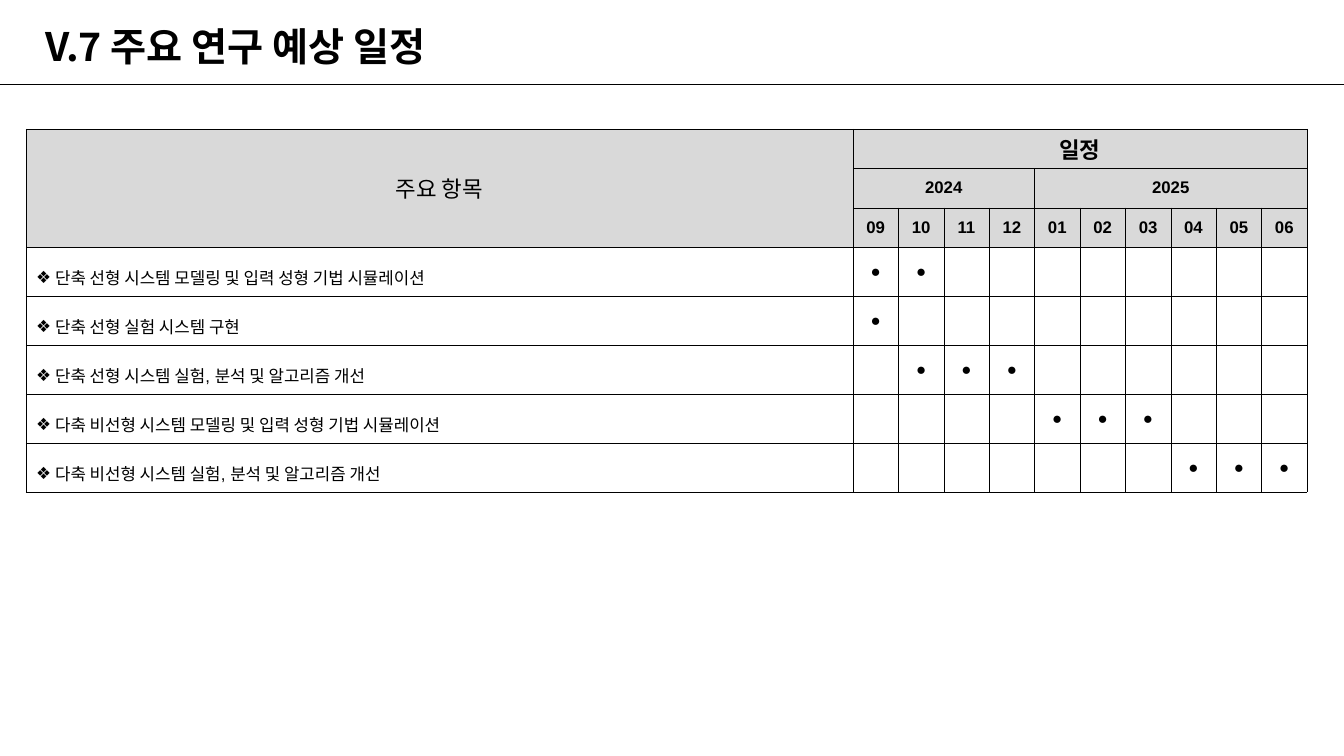
from dataclasses import dataclass

from lxml import etree
from pptx import Presentation
from pptx.dml.color import RGBColor
from pptx.enum.shapes import MSO_CONNECTOR
from pptx.enum.text import MSO_ANCHOR, MSO_AUTO_SIZE, PP_ALIGN
from pptx.oxml.ns import qn
from pptx.util import Emu, Pt

STRAIGHT = MSO_CONNECTOR.STRAIGHT
MIDDLE = MSO_ANCHOR.MIDDLE
NO_AUTOFIT = MSO_AUTO_SIZE.NONE
LEFT, CENTER = PP_ALIGN.LEFT, PP_ALIGN.CENTER
PAGE_WIDTH, PAGE_HEIGHT = 1344, 756
EMU_PER_PX = 12192000 / PAGE_WIDTH
TITLE_ONLY = 5


@dataclass(frozen=True)
class Theme:
    """Colours, fonts and type sizes of the slide."""

    ink: str = "000000"
    paper: str = "FFFFFF"
    header: str = "D9D9D9"
    latin: str = "Arial"
    korean: str = "Noto Sans CJK KR"
    title_size: int = 28
    heading_size: int = 16
    text_size: int = 12
    line_width: float = 0.25


THEME = Theme()
TITLE = "V.7 주요 연구 예상 일정"
YEARS = {"2024": ["09", "10", "11", "12"],
         "2025": ["01", "02", "03", "04", "05", "06"]}
TASKS = [
    ("단축 선형 시스템 모델링 및 입력 성형 기법 시뮬레이션", 0, 2),
    ("단축 선형 실험 시스템 구현", 0, 1),
    ("단축 선형 시스템 실험, 분석 및 알고리즘 개선", 1, 3),
    ("다축 비선형 시스템 모델링 및 입력 성형 기법 시뮬레이션", 4, 3),
    ("다축 비선형 시스템 실험, 분석 및 알고리즘 개선", 7, 3),
]


def px(length):
    """Turn a length in pixels into EMU."""
    return Emu(round(length * EMU_PER_PX))


def style_span(span, size, bold, latin, korean):
    """Format one run."""
    span.font.size = Pt(size)
    span.font.bold = bold
    span.font.name = latin
    span.font.color.rgb = RGBColor.from_string(THEME.ink)
    east_asian = etree.Element(qn("a:ea"), typeface=korean)
    span.font._element.find(qn("a:latin")).addnext(east_asian)


def draw_borders(cell):
    """Rule all four sides of a cell."""
    properties = cell._tc.get_or_add_tcPr()
    for position, side in enumerate(("a:lnL", "a:lnR", "a:lnT", "a:lnB")):
        border = etree.Element(qn(side), w=str(Pt(THEME.line_width)))
        fill = etree.SubElement(border, qn("a:solidFill"))
        etree.SubElement(fill, qn("a:srgbClr"), val=THEME.ink)
        properties.insert(position, border)


def fill_cell(cell, text, size=THEME.text_size, bold=False, align=CENTER,
              korean=THEME.korean):
    """Write and format the text of a cell."""
    cell.text_frame.text = text
    para = cell.text_frame.paragraphs[0]
    para.alignment = align
    for span in para.runs:
        style_span(span, size, bold, THEME.latin, korean)
    return para


def add_bullet(para):
    """Give a paragraph a diamond bullet with a hanging indent."""
    para.line_spacing = 1.5
    properties = para._p.get_or_add_pPr()
    properties.set("marL", str(px(19)))
    properties.set("indent", str(px(-19)))
    etree.SubElement(properties, qn("a:buFont"), typeface=THEME.latin)
    etree.SubElement(properties, qn("a:buChar"), char="❖")


def add_title(page, left, top, width, height):
    """Place the heading and the rule beneath it."""
    box = page.shapes.title
    box.left, box.top, box.width, box.height = map(px, (left, top, width, height))
    frame = box.text_frame
    frame.text = TITLE
    frame.auto_size = NO_AUTOFIT
    frame.vertical_anchor = MIDDLE
    para = frame.paragraphs[0]
    para.alignment = LEFT
    para.line_spacing = 1.0
    style_span(para.runs[0], THEME.title_size, True, THEME.korean, THEME.korean)

    rule_top = px(top + height + 10)
    rule = page.shapes.add_connector(STRAIGHT, 0, rule_top, px(PAGE_WIDTH), rule_top)
    rule.line.color.rgb = RGBColor.from_string(THEME.ink)
    rule.line.width = Pt(THEME.line_width)
    etree.SubElement(rule._element.spPr, qn("a:effectLst"))


def fill_header(table):
    """Merge and label the three header rows."""
    last = len(table.columns) - 1
    table.cell(0, 0).merge(table.cell(2, 0))
    table.cell(0, 1).merge(table.cell(0, last))
    fill_cell(table.cell(0, 0), "주요 항목", THEME.heading_size)
    fill_cell(table.cell(0, 1), "일정", THEME.heading_size, True)
    column = 1
    for year, months in YEARS.items():
        table.cell(1, column).merge(table.cell(1, column + len(months) - 1))
        fill_cell(table.cell(1, column), year, bold=True)
        for month in months:
            fill_cell(table.cell(2, column), month, bold=True)
            column += 1


def add_schedule(page, left, top, width, task_width, header_height, task_height):
    """Place the schedule table."""
    month_count = sum(map(len, YEARS.values()))
    header_rows = 3
    height = header_height + task_height * len(TASKS)
    table = page.shapes.add_table(
        header_rows + len(TASKS), 1 + month_count,
        px(left), px(top), px(width), px(height)).table
    table.first_row = table.horz_banding = False
    for number, column in enumerate(table.columns):
        column.width = px((width - task_width) / month_count if number else task_width)
    for number, row in enumerate(table.rows):
        is_header = number < header_rows
        row.height = px(header_height / header_rows if is_header else task_height)
        for cell in row.cells:
            cell.fill.solid()
            color = THEME.header if is_header else THEME.paper
            cell.fill.fore_color.rgb = RGBColor.from_string(color)
            cell.vertical_anchor = MIDDLE
            cell.margin_top = cell.margin_bottom = px(2)
            draw_borders(cell)
    fill_header(table)
    for row, (task, start, duration) in enumerate(TASKS, header_rows):
        add_bullet(fill_cell(table.cell(row, 0), task, align=LEFT))
        for month in range(start, start + duration):
            fill_cell(table.cell(row, month + 1), "●", korean=THEME.latin)


def main():
    """Build and save the deck."""
    deck = Presentation()
    deck.slide_width, deck.slide_height = px(PAGE_WIDTH), px(PAGE_HEIGHT)
    page = deck.slides.add_slide(deck.slide_layouts[TITLE_ONLY])
    add_title(page, 35, 17, 1274, 57)
    add_schedule(page, 26, 129, 1281, 827, 118, 49)
    deck.save("out.pptx")


if __name__ == "__main__":
    main()
